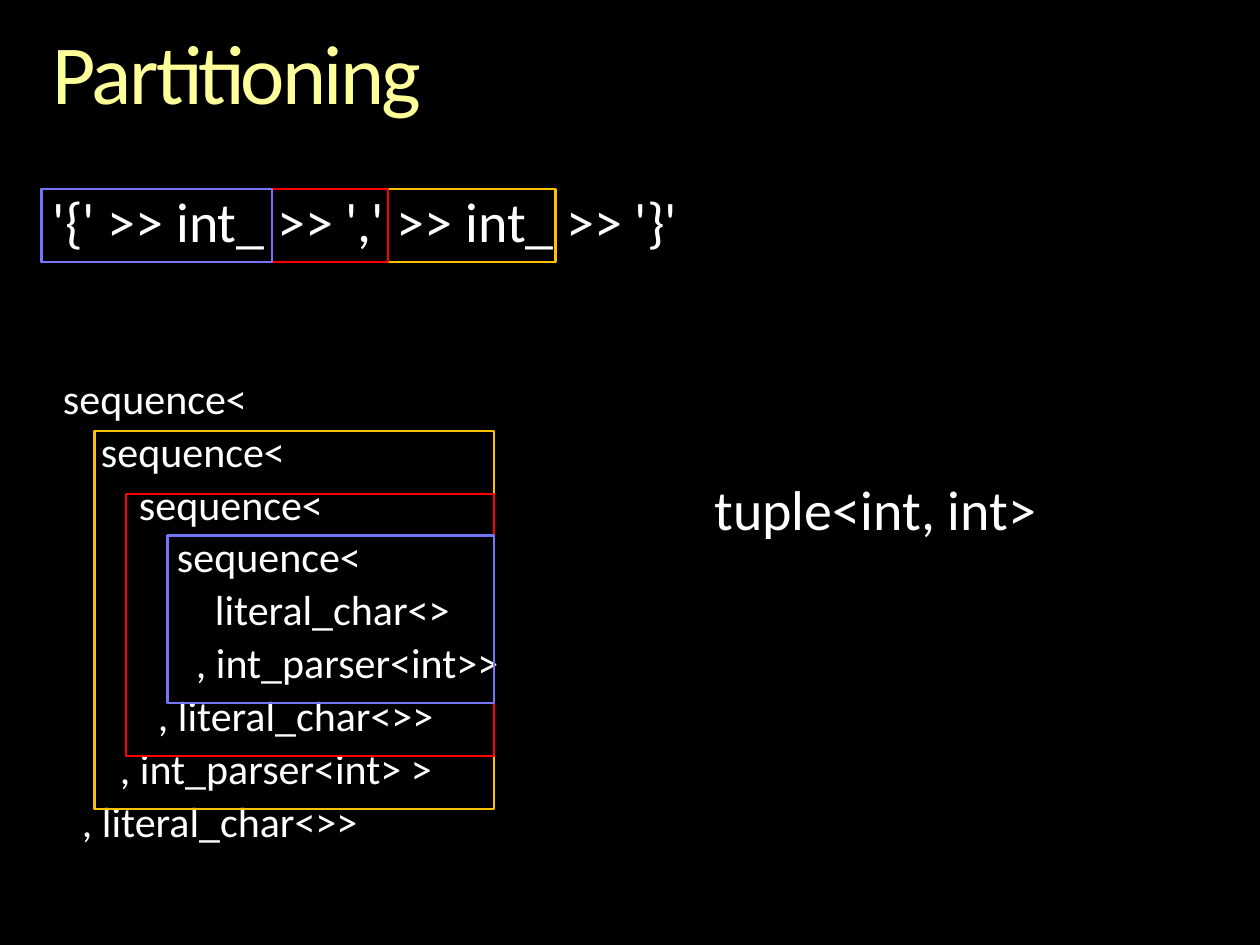
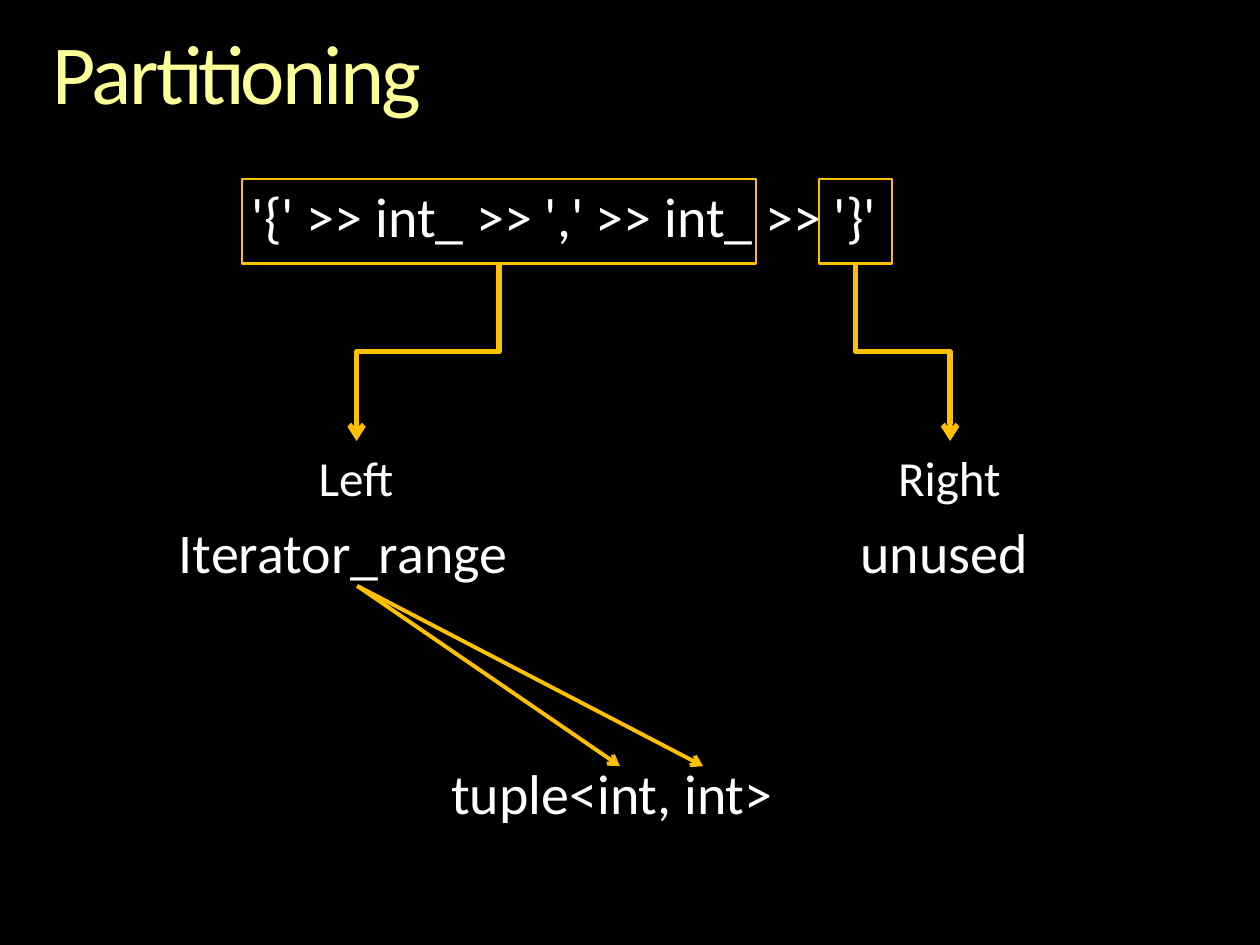
from dataclasses import dataclass

from lxml import etree
from pptx import Presentation
from pptx.dml.color import RGBColor
from pptx.enum import shapes, text
from pptx.oxml.ns import qn
from pptx.util import Inches, Pt


@dataclass(frozen=True)
class Theme:
    font: str = "Calibri"
    back: str = "000000"
    ink: str = "FFFFFF"
    head: str = "FFFF99"
    gold: str = "FFC000"
    red: str = "FF0000"
    blue: str = "7575FA"
    title: int = 48
    big: int = 32
    label: int = 28
    code: int = 24
    frame: float = 1.5
    elbow: float = 3
    arrow: float = 2.25


T = Theme()
EXPR = "'{' >> int_ >> ',' >> int_ >> '}'"
TUPLE = "tuple<int, int>"
STEP = 0.0754  # indent of one code column, in inches

# Column and text of each line of the parser type
CODE = [
    (0, "sequence<"),
    (4, "sequence<"),
    (8, "sequence<"),
    (12, "sequence<"),
    (16, "literal_char<>"),
    (14, ", int_parser<int>>"),
    (10, ", literal_char<>>"),
    (6, ", int_parser<int> >"),
    (2, ", literal_char<>>"),
]


def color(code):
    return RGBColor.from_string(code)


def style(para, size, ink=T.ink):
    para.alignment = text.PP_ALIGN.LEFT
    for run in para.runs:
        run.font.name = T.font
        run.font.size = Pt(size)
        run.font.color.rgb = color(ink)


def bare(frame, wrap=True):
    """Text frame without margins, set from the top."""
    frame.margin_left = frame.margin_right = 0
    frame.margin_top = frame.margin_bottom = 0
    frame.vertical_anchor = text.MSO_ANCHOR.TOP
    frame.word_wrap = wrap


def add_slide(deck, title):
    slide = deck.slides.add_slide(deck.slide_layouts[5])
    head = slide.shapes.title
    head.left, head.top = Inches(0.42), Inches(0.25)
    head.width, head.height = Inches(9.17), Inches(0.73)
    bare(head.text_frame)
    head.text_frame.auto_size = text.MSO_AUTO_SIZE.NONE
    head.text_frame.text = title
    para = head.text_frame.paragraphs[0]
    para.line_spacing = 0.9
    style(para, T.title, T.head)
    para.runs[0].font._element.set("spc", "-150")
    return slide


def add_text(slide, x, y, w, h, lines, size=T.big):
    """Lines are pairs of column and text."""
    box = slide.shapes.add_textbox(Inches(x), Inches(y), Inches(w), Inches(h))
    frame = box.text_frame
    bare(frame)
    for i, (col, line) in enumerate(lines):
        para = frame.add_paragraph() if i else frame.paragraphs[0]
        para.text = line
        para.line_spacing = 0.9
        para.space_before = Pt(round(size * 0.18, 1))
        if col:
            para._p.get_or_add_pPr().set("marL", str(Inches(col * STEP)))
        style(para, size)
    return box


def add_label(slide, x, y, w, h, words):
    box = slide.shapes.add_textbox(Inches(x), Inches(y), Inches(w), Inches(h))
    box.text_frame.word_wrap = False
    box.text_frame.text = words
    style(box.text_frame.paragraphs[0], T.label)
    return box


def add_frame(slide, x, y, w, h, ink=T.gold):
    box = slide.shapes.add_shape(
        shapes.MSO_SHAPE.RECTANGLE, Inches(x), Inches(y), Inches(w), Inches(h))
    box.fill.background()
    box.line.color.rgb = color(ink)
    box.line.width = Pt(T.frame)
    box.shadow.inherit = False
    return box


def add_arrow(slide, kind, start, end, width):
    line = slide.shapes.add_connector(kind, *map(Inches, start + end))
    line.line.color.rgb = color(T.gold)
    line.line.width = Pt(width)
    tail = etree.SubElement(line.line._get_or_add_ln(), qn("a:tailEnd"))
    tail.set("type", "arrow")
    etree.SubElement(line._element.spPr, qn("a:effectLst"))
    return line


def add_elbow(slide, box, label, start, end):
    """Arrow that leaves downwards, turns halfway and ends downwards."""
    line = add_arrow(slide, shapes.MSO_CONNECTOR.ELBOW, start, end, T.elbow)
    line.begin_connect(box, 2)
    line.end_connect(label, 0)
    # A turned connector keeps its box unturned about the same centre
    (x1, y1), (x2, y2) = start, end
    long, wide = y2 - y1, abs(x2 - x1)
    line.left = Inches((x1 + x2 - long) / 2)
    line.top = Inches((y1 + y2 - wide) / 2)
    line.width, line.height = Inches(long), Inches(wide)
    form = line._element.spPr.find(qn("a:xfrm"))
    for key in ("flipH", "flipV"):
        form.attrib.pop(key, None)
    form.set("rot", str((90 if x2 < x1 else 270) * 60000))
    if x2 > x1:
        form.set("flipH", "1")


def build_types(deck):
    slide = add_slide(deck, "Partitioning")
    add_text(slide, 0.42, 1.54, 9.17, 0.48, [(0, EXPR)])
    add_text(slide, 0.5, 3, 4, 3.92, CODE, T.code)

    # Each colour marks a part of the type and of the expression
    right = 3.92
    for ink, x, y, h, part in [
        (T.gold, 0.75, 3.42, 3, 4.08),
        (T.red, 1, 3.92, 2.08, 2.75),
        (T.blue, 1.33, 4.25, 1.33, 1.83),
    ]:
        add_frame(slide, x, y, right - x, h, ink)
        add_frame(slide, 0.33, 1.5, part, 0.58, ink)

    add_text(slide, 5.67, 3.83, 3.42, 0.48, [(0, TUPLE)])


def build_split(deck):
    slide = add_slide(deck, "Partitioning")
    add_text(slide, 2, 1.5, 5.5, 0.48, [(0, EXPR)])

    # Both halves of the expression
    left = add_frame(slide, 1.92, 1.42, 4.08, 0.67)
    right = add_frame(slide, 6.5, 1.42, 0.58, 0.67)

    # Results of each half
    span = add_text(slide, 1.42, 4.17, 2.83, 0.48, [(0, "Iterator_range")])
    add_text(slide, 6.83, 4.17, 1.42, 0.48, [(0, "unused")])
    first = add_label(slide, 2.43, 3.5, 0.81, 0.57, "Left")
    last = add_label(slide, 7.03, 3.5, 1.02, 0.57, "Right")
    add_text(slide, 3.58, 6.08, 3.42, 0.48, [(0, TUPLE)])

    # Arrows
    add_elbow(slide, left, first, (3.96, 2.08), (2.83, 3.5))
    add_elbow(slide, right, last, (6.79, 2.08), (7.54, 3.5))
    for x in (4.92, 5.58):
        line = add_arrow(slide, shapes.MSO_CONNECTOR.STRAIGHT,
                         (2.83, 4.65), (x, 6.08), T.arrow)
        line.begin_connect(span, 2)


def main():
    deck = Presentation()
    deck.slide_width, deck.slide_height = Inches(10), Inches(7.5)
    fill = deck.slide_master.background.fill
    fill.solid()
    fill.fore_color.rgb = color(T.back)
    build_types(deck)
    build_split(deck)
    deck.save("out.pptx")


if __name__ == "__main__":
    main()
